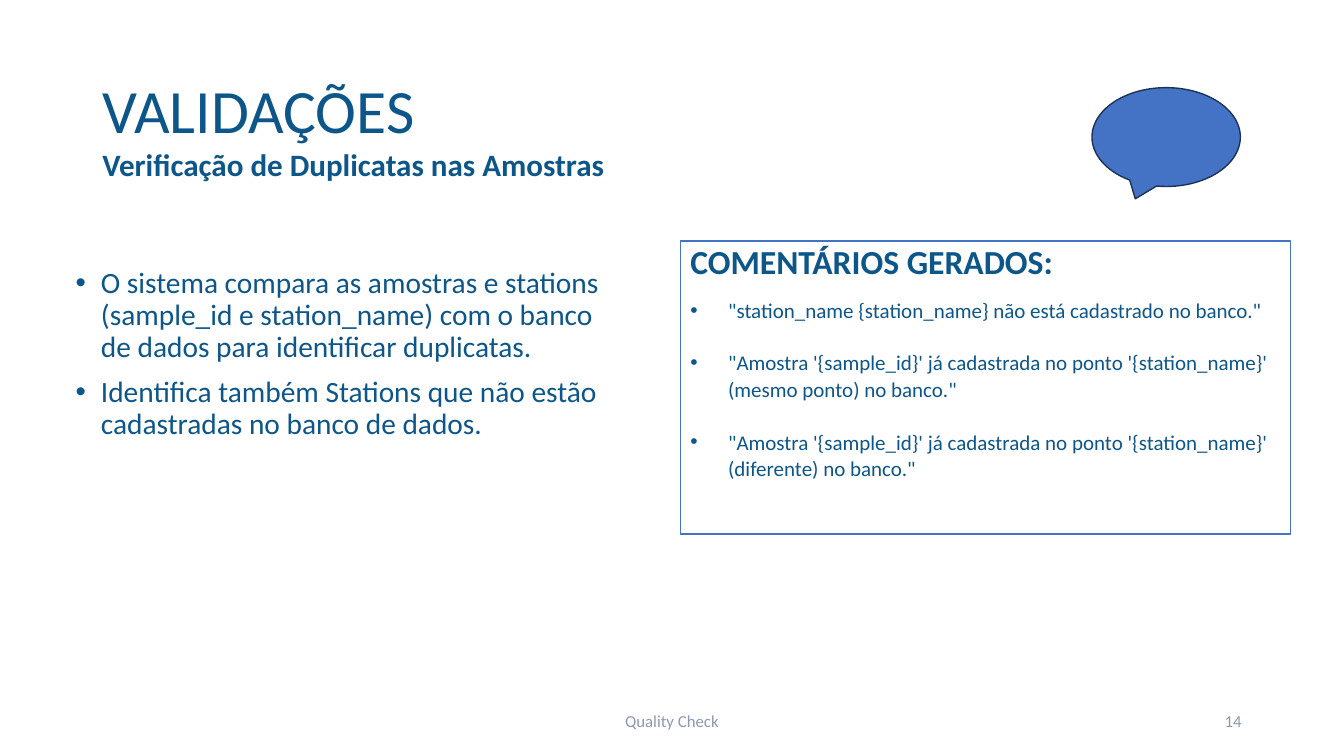
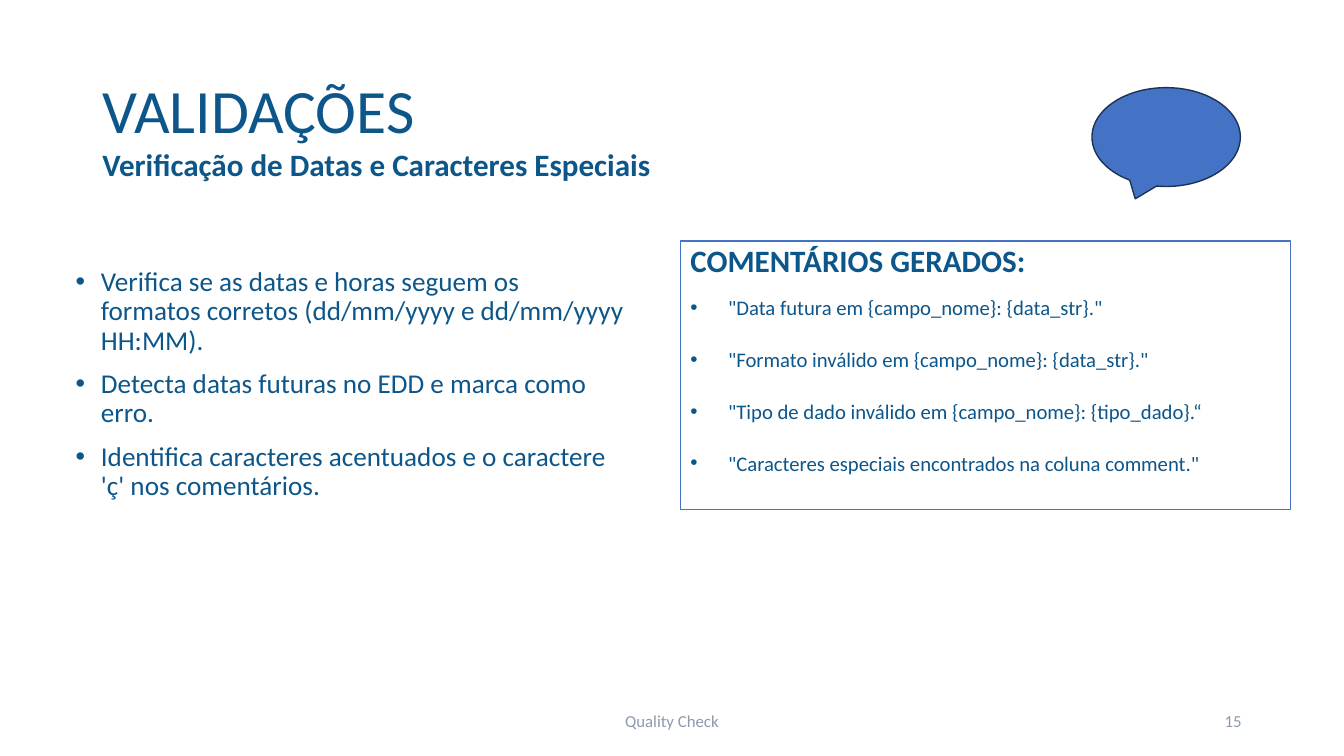
from dataclasses import dataclass

from lxml import etree
from pptx import Presentation
from pptx.dml.color import RGBColor
from pptx.enum.shapes import MSO_SHAPE
from pptx.enum.text import MSO_ANCHOR, PP_ALIGN
from pptx.oxml.ns import qn
from pptx.shapes.autoshape import Shape
from pptx.slide import Slide
from pptx.util import Pt

RECTANGLE = MSO_SHAPE.RECTANGLE
SPEECH_BUBBLE = MSO_SHAPE.OVAL_CALLOUT
TOP, MIDDLE, BOTTOM = MSO_ANCHOR.TOP, MSO_ANCHOR.MIDDLE, MSO_ANCHOR.BOTTOM
LEFT, CENTER, RIGHT = PP_ALIGN.LEFT, PP_ALIGN.CENTER, PP_ALIGN.RIGHT

FONT = "Calibri"
NAVY = RGBColor(0x0D, 0x56, 0x8A)
GRAY = RGBColor(0x8C, 0x9A, 0xB1)
BLUE = RGBColor(0x44, 0x72, 0xC4)
DARK_BLUE = RGBColor(0x1E, 0x32, 0x56)
WHITE = RGBColor(0xFF, 0xFF, 0xFF)

SLIDE_SIZE = (960, 540)
BLANK_LAYOUT = 6
FIRST_NUMBER = 14
TITLE = "VALIDAÇÕES"
COMMENTS_HEADING = "COMENTÁRIOS GERADOS:"
FOOTER = "Quality Check"


@dataclass(frozen=True)
class Box:
    left: float
    top: float
    width: float
    height: float

    def lengths(self) -> tuple[Pt, Pt, Pt, Pt]:
        return Pt(self.left), Pt(self.top), Pt(self.width), Pt(self.height)


@dataclass(frozen=True)
class TextStyle:
    size: float
    color: RGBColor = NAVY
    bold: bool = False
    align: PP_ALIGN = LEFT
    line_spacing: float = 1.0
    space_before: float = 0
    space_after: float = 0
    bullet_indent: float = 0


@dataclass(frozen=True)
class Validation:
    subtitle: str
    points: tuple[str, ...]
    point_size: float
    comments: tuple[str, ...]
    comment_size: float
    heading_size: float
    comments_height: float


TITLE_BOX = Box(66, 28.8, 828, 104.4)
SUBTITLE_BOX = Box(66, 106, 705.6, 27.2)
POINTS_BOX = Box(47, 188, 406, 154)
COMMENTS_LEFT, COMMENTS_TOP, COMMENTS_WIDTH = 486, 172, 436
BUBBLE_BOX = Box(780, 62.6, 106, 70.6)
FOOTER_BOX = Box(318, 500.5, 324, 28.8)
NUMBER_BOX = Box(678, 500.5, 216, 28.8)

TITLE_STYLE = TextStyle(44, line_spacing=0.9)
SUBTITLE_STYLE = TextStyle(22.2, bold=True, line_spacing=0.7)
FOOTER_STYLE = TextStyle(12, GRAY, align=CENTER)
NUMBER_STYLE = TextStyle(12, GRAY, align=RIGHT)

VALIDATIONS = (
    Validation(
        subtitle="Verificação de Duplicatas nas Amostras",
        points=(
            "O sistema compara as amostras e stations (sample_id e station_name) "
            "com o banco de dados para identificar duplicatas.",
            "Identifica também Stations que não estão cadastradas no banco de dados.",
        ),
        point_size=21,
        comments=(
            "\"station_name {station_name} não está cadastrado no banco.\"",
            "\"Amostra '{sample_id}' já cadastrada no ponto '{station_name}' "
            "(mesmo ponto) no banco.\"",
            "\"Amostra '{sample_id}' já cadastrada no ponto '{station_name}' "
            "(diferente) no banco.\"",
        ),
        comment_size=15,
        heading_size=24,
        comments_height=209.5,
    ),
    Validation(
        subtitle="Verificação de Datas e Caracteres Especiais",
        points=(
            "Verifica se as datas e horas seguem os formatos corretos "
            "(dd/mm/yyyy e dd/mm/yyyy HH:MM).",
            "Detecta datas futuras no EDD e marca como erro.",
            "Identifica caracteres acentuados e o caractere 'ç' nos comentários.",
        ),
        point_size=19.4,
        comments=(
            "\"Data futura em {campo_nome}: {data_str}.\"",
            "\"Formato inválido em {campo_nome}: {data_str}.\"",
            "\"Tipo de dado inválido em {campo_nome}: {tipo_dado}.“",
            "\"Caracteres especiais encontrados na coluna comment.\"",
        ),
        comment_size=14.8,
        heading_size=22.2,
        comments_height=192,
    ),
)


def write_paragraphs(
    shape: Shape, content: list[tuple[str, TextStyle]], anchor: MSO_ANCHOR = TOP
) -> None:
    frame = shape.text_frame
    frame.word_wrap = True
    frame.vertical_anchor = anchor
    for index, (text, style) in enumerate(content):
        paragraph = frame.add_paragraph() if index else frame.paragraphs[0]
        if style.bullet_indent:
            properties = paragraph._p.get_or_add_pPr()
            properties.set("marL", str(Pt(style.bullet_indent)))
            properties.set("indent", str(-Pt(style.bullet_indent)))
            etree.SubElement(properties, qn("a:buFont"), typeface="Arial")
            etree.SubElement(properties, qn("a:buChar"), char="•")
        paragraph_format = {
            "alignment": style.align,
            "line_spacing": style.line_spacing,
            "space_before": Pt(style.space_before if index else 0),
            "space_after": Pt(style.space_after),
        }
        for name, value in paragraph_format.items():
            setattr(paragraph, name, value)
        run = paragraph.add_run()
        run.text = text
        font_format = {"name": FONT, "size": Pt(style.size), "bold": style.bold}
        for name, value in font_format.items():
            setattr(run.font, name, value)
        run.font.color.rgb = style.color


def add_text(
    slide: Slide, box: Box, content: list[tuple[str, TextStyle]], anchor: MSO_ANCHOR = TOP
) -> None:
    write_paragraphs(slide.shapes.add_textbox(*box.lengths()), content, anchor)


def add_outlined_shape(
    slide: Slide, kind: MSO_SHAPE, box: Box, fill: RGBColor, line: RGBColor
) -> Shape:
    shape = slide.shapes.add_shape(kind, *box.lengths())
    shape.shadow.inherit = False
    shape.fill.solid()
    shape.fill.fore_color.rgb = fill
    shape.line.color.rgb = line
    shape.line.width = Pt(1)
    return shape


def add_frame(slide: Slide, subtitle: str, number: int) -> None:
    """Draw what every slide shares: title, subtitle, speech bubble and footer."""
    add_text(slide, TITLE_BOX, [(TITLE, TITLE_STYLE)], MIDDLE)
    add_text(slide, SUBTITLE_BOX, [(subtitle, SUBTITLE_STYLE)], BOTTOM)
    add_text(slide, FOOTER_BOX, [(FOOTER, FOOTER_STYLE)], MIDDLE)
    add_text(slide, NUMBER_BOX, [(str(number), NUMBER_STYLE)], MIDDLE)
    add_outlined_shape(slide, SPEECH_BUBBLE, BUBBLE_BOX, BLUE, DARK_BLUE)


def add_points(slide: Slide, validation: Validation) -> None:
    style = TextStyle(
        validation.point_size, line_spacing=0.9, space_before=10, bullet_indent=18
    )
    add_text(slide, POINTS_BOX, [(point, style) for point in validation.points])


def add_comments(slide: Slide, validation: Validation) -> None:
    heading_style = TextStyle(validation.heading_size, bold=True, line_spacing=0.9)
    comment_style = TextStyle(
        validation.comment_size,
        line_spacing=1.07,
        space_before=10,
        space_after=8,
        bullet_indent=27,
    )
    box = Box(COMMENTS_LEFT, COMMENTS_TOP, COMMENTS_WIDTH, validation.comments_height)
    shape = add_outlined_shape(slide, RECTANGLE, box, WHITE, BLUE)
    comments = [(comment, comment_style) for comment in validation.comments]
    write_paragraphs(shape, [(COMMENTS_HEADING, heading_style), *comments])


def main() -> None:
    presentation = Presentation()
    presentation.slide_width, presentation.slide_height = map(Pt, SLIDE_SIZE)
    for number, validation in enumerate(VALIDATIONS, FIRST_NUMBER):
        slide = presentation.slides.add_slide(presentation.slide_layouts[BLANK_LAYOUT])
        add_frame(slide, validation.subtitle, number)
        add_points(slide, validation)
        add_comments(slide, validation)
    presentation.save("out.pptx")


if __name__ == "__main__":
    main()
